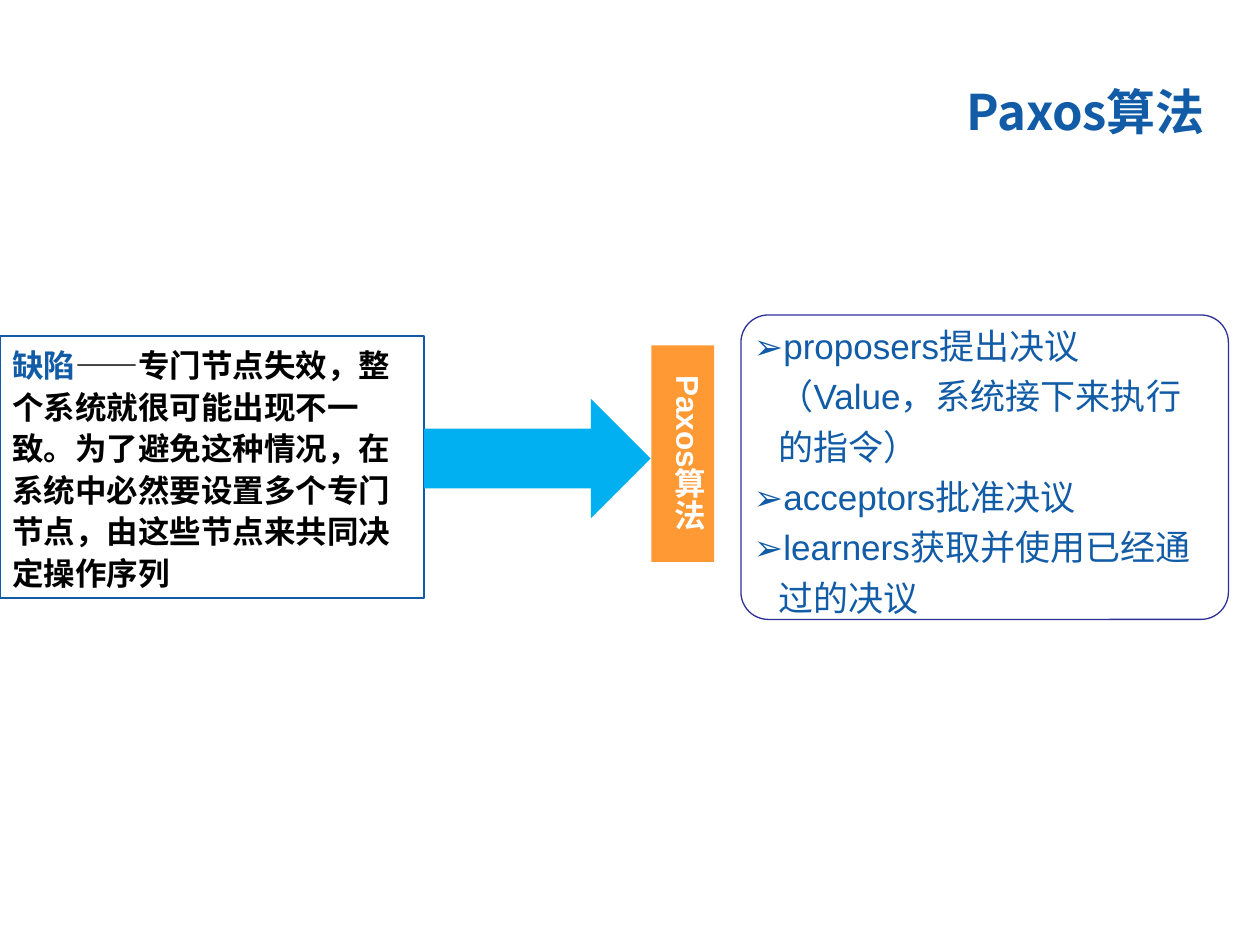
from dataclasses import dataclass

from lxml import etree
from pptx import Presentation
from pptx.dml.color import RGBColor
from pptx.enum.shapes import MSO_SHAPE
from pptx.enum.text import MSO_ANCHOR, PP_ALIGN
from pptx.oxml.ns import qn
from pptx.util import Pt

RECTANGLE = MSO_SHAPE.RECTANGLE
ROUNDED = MSO_SHAPE.ROUNDED_RECTANGLE
ARROW = MSO_SHAPE.RIGHT_ARROW
TOP, MIDDLE = MSO_ANCHOR.TOP, MSO_ANCHOR.MIDDLE
LEFT, RIGHT = PP_ALIGN.LEFT, PP_ALIGN.RIGHT

BLUE = RGBColor(0x12, 0x5C, 0xA7)
SKY = RGBColor(0x00, 0xB0, 0xF0)
ORANGE = RGBColor(0xFF, 0x99, 0x33)
INDIGO = RGBColor(0x2F, 0x2F, 0x98)
BLACK = RGBColor(0, 0, 0)
WHITE = RGBColor(0xFF, 0xFF, 0xFF)

LATIN, CJK = "Arial", "Noto Sans CJK SC"


@dataclass(frozen=True)
class Panel:
    geometry: MSO_SHAPE
    left: float
    top: float
    width: float
    height: float
    fill: RGBColor | None = None
    line: RGBColor | None = None


@dataclass(frozen=True)
class Style:
    size: float
    bold: bool = False
    latin: str = LATIN
    align: PP_ALIGN = LEFT
    spacing: float = 1.0
    hanging: float = 0
    anchor: MSO_ANCHOR = TOP
    insets: tuple[float, float, float, float] = (0, 0, 0, 0)


Span = tuple[str, RGBColor]

FLAW = Panel(RECTANGLE, 0, 192, 242.4, 149.8, WHITE, BLUE)
FLOW = Panel(ARROW, 242.4, 228, 129.4, 68.2, SKY)
ALGORITHM = Panel(RECTANGLE, 372.2, 197.3, 36, 123.8, ORANGE)
ROLES = Panel(ROUNDED, 423.4, 180, 278.6, 174, None, INDIGO)

TITLE_STYLE = Style(28, True, CJK, RIGHT, 0.9)
FLAW_STYLE = Style(18, True, spacing=1.1, insets=(7.2, 3.6, 7.2, 3.6))
ALGORITHM_STYLE = Style(18, True, insets=(3.6, 17.2, 3.6, 7.2))
ROLES_STYLE = Style(20, spacing=1.2, hanging=14, anchor=MIDDLE,
                    insets=(2.9, 2.9, 2.9, 2.9))


def draw_panel(slide, panel: Panel):
    shape = slide.shapes.add_shape(panel.geometry, Pt(panel.left), Pt(panel.top),
                                   Pt(panel.width), Pt(panel.height))
    shape.shadow.inherit = False
    if panel.fill is None:
        shape.fill.background()
    else:
        shape.fill.solid()
        shape.fill.fore_color.rgb = panel.fill
    if panel.line is None:
        shape.line.fill.background()
    else:
        shape.line.color.rgb = panel.line
        shape.line.width = Pt(0.75)
    return shape


def write(shape, style: Style, paragraphs: list[list[Span]]) -> None:
    frame = shape.text_frame
    frame.word_wrap = True
    frame.vertical_anchor = style.anchor
    (frame.margin_left, frame.margin_top,
     frame.margin_right, frame.margin_bottom) = map(Pt, style.insets)
    for index, spans in enumerate(paragraphs):
        paragraph = frame.add_paragraph() if index else frame.paragraphs[0]
        paragraph.alignment = style.align
        paragraph.line_spacing = style.spacing
        properties = paragraph._p.get_or_add_pPr()
        properties.set("hangingPunct", "0")
        if style.hanging:
            properties.set("marL", str(Pt(style.hanging)))
            properties.set("indent", str(-Pt(style.hanging)))
        paragraph.font.size = Pt(style.size)
        paragraph.font.bold = style.bold
        paragraph.font.name = style.latin
        for text, color in spans:
            run = paragraph.add_run()
            run.text = text
            run.font.color.rgb = color
            etree.SubElement(run._r.get_or_add_rPr(), qn("a:ea"), typeface=CJK)


def main() -> None:
    presentation = Presentation()
    presentation.slide_width, presentation.slide_height = Pt(720), Pt(540)
    slide = presentation.slides.add_slide(presentation.slide_layouts[6])

    title = slide.shapes.add_textbox(Pt(28), Pt(50.4), Pt(660.4), Pt(30.2))
    write(title, TITLE_STYLE, [[("Paxos算法", BLUE)]])

    flaw = draw_panel(slide, FLAW)
    write(flaw, FLAW_STYLE, [[
        ("缺陷", BLUE),
        ("——专门节点失效，整个系统就很可能出现不一致。为了避免这种情况，"
         "在系统中必然要设置多个专门节点，由这些节点来共同决定操作序列", BLACK),
    ]])

    draw_panel(slide, FLOW)

    algorithm = draw_panel(slide, ALGORITHM)
    write(algorithm, ALGORITHM_STYLE, [[("Paxos算法", WHITE)]])
    algorithm.text_frame._txBody.bodyPr.set("vert", "eaVert")

    roles = draw_panel(slide, ROLES)
    roles.adjustments[0] = 0.09
    write(roles, ROLES_STYLE, [[(role, BLUE)] for role in (
        "➢proposers提出决议（Value，系统接下来执行的指令）",
        "➢acceptors批准决议",
        "➢learners获取并使用已经通过的决议",
    )])

    presentation.save("out.pptx")


if __name__ == "__main__":
    main()
